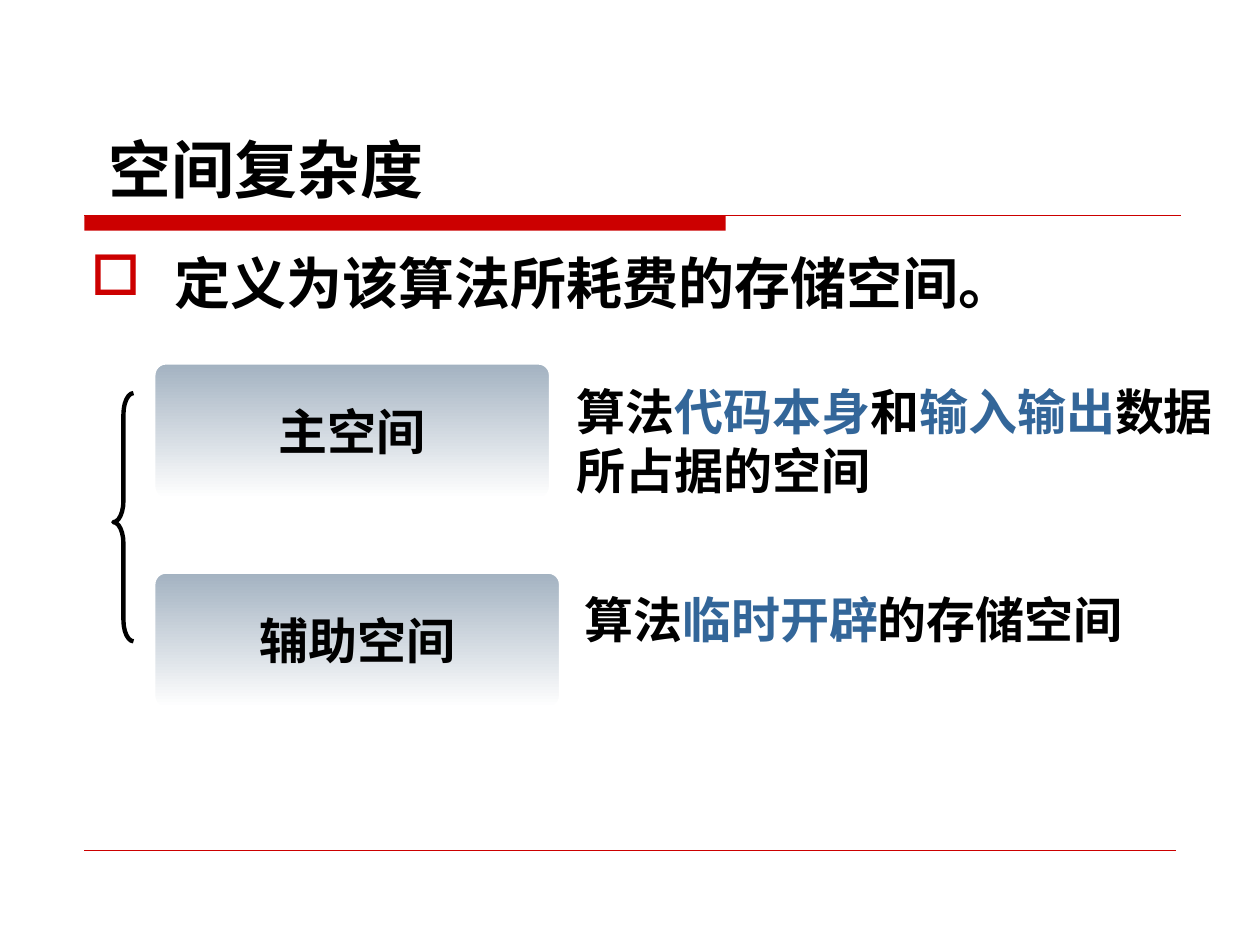
import pptx
import pptx.util
import pptx.dml.color
import pptx.enum.shapes
import pptx.enum.text
import lxml.etree
import pptx.oxml.ns

RGB = pptx.dml.color.RGBColor
RED = RGB(0xCC, 0x00, 0x00)
BLUE = RGB(0x33, 0x66, 0x99)
GREY = RGB(0xA3, 0xB2, 0xC1)
BLACK = RGB(0x00, 0x00, 0x00)
WHITE = RGB(0xFF, 0xFF, 0xFF)
FONT = "DejaVu Sans"
PX = 9144  # 100 px to the inch
qn = pptx.oxml.ns.qn
Pt = pptx.util.Pt
KIND = pptx.enum.shapes.MSO_SHAPE
ALIGN = pptx.enum.text.PP_ALIGN
ANCHOR = pptx.enum.text.MSO_ANCHOR
FIT = pptx.enum.text.MSO_AUTO_SIZE


def style(run, size, color=BLACK):
    """Bold text in one font for both Latin and East Asian letters."""
    font = run.font
    font.size, font.bold, font.name = Pt(size), True, FONT
    font.color.rgb = color
    east = lxml.etree.Element(qn("a:ea"), typeface=FONT)
    run._r.rPr.find(qn("a:latin")).addnext(east)


def rule(left, right, y, width):
    """A flat red line across the slide."""
    line = slide.shapes.add_connector(
        pptx.enum.shapes.MSO_CONNECTOR.STRAIGHT, left * PX, y * PX, right * PX, y * PX)
    line.line.color.rgb = RED
    line.line.width = Pt(width)
    lxml.etree.SubElement(line._element.spPr, qn("a:effectLst"))


deck = pptx.Presentation()
deck.slide_width, deck.slide_height = 1000 * PX, 750 * PX
slide = deck.slides.add_slide(deck.slide_layouts[5])
shapes = slide.shapes

# Red bar and rules
bar = shapes.add_shape(KIND.RECTANGLE, 67 * PX, 171 * PX, 509 * PX, 12 * PX)
bar.shadow.inherit = False
bar.fill.solid()
bar.fill.fore_color.rgb = RED
bar.line.fill.background()
rule(67, 937, 171, 0.75)
rule(67, 933, 675, 0.25)

# Title
title = shapes.title
title.left, title.top, title.width, title.height = 59 * PX, 36 * PX, 875 * PX, 133 * PX
frame = title.text_frame
frame.text = " 空间复杂度"
frame.auto_size = FIT.NONE
frame.vertical_anchor = ANCHOR.BOTTOM
frame.paragraphs[0].alignment = ALIGN.LEFT
style(frame.paragraphs[0].runs[0], 36)

# Definition with a square bullet
body = shapes.add_textbox(62 * PX, 192 * PX, 875 * PX, 467 * PX)
body.text_frame.word_wrap = True
para = body.text_frame.paragraphs[0]
para.text = " 定义为该算法所耗费的存储空间。"
props = para._p.get_or_add_pPr()
props.set("marL", str(51 * PX))
props.set("indent", str(-51 * PX))
tint = lxml.etree.SubElement(props, qn("a:buClr"))
lxml.etree.SubElement(tint, qn("a:srgbClr"), val=str(RED))
lxml.etree.SubElement(props, qn("a:buChar"), char="□")
style(para.runs[0], 32)

# The two kinds of space
for label, top, width in [("主空间", 288, 315), ("辅助空间", 454, 323)]:
    card = shapes.add_shape(KIND.ROUNDED_RECTANGLE, 122 * PX, top * PX, width * PX, 108 * PX)
    card.adjustments[0] = 0.09
    card.shadow.inherit = False
    card.fill.gradient()
    card.fill.gradient_angle = 270
    for stop, color in zip(card.fill.gradient_stops, [GREY, WHITE]):
        stop.color.rgb = color
    card.line.color.rgb = WHITE
    card.line.width = Pt(2)
    frame = card.text_frame
    frame.text = label
    frame.word_wrap = False
    frame.vertical_anchor = ANCHOR.MIDDLE
    frame.paragraphs[0].alignment = ALIGN.CENTER
    style(frame.paragraphs[0].runs[0], 28)

brace = shapes.add_shape(KIND.LEFT_BRACE, 90 * PX, 312 * PX, 16 * PX, 197 * PX)
brace.adjustments[0], brace.adjustments[1] = 1.06, 0.52
brace.shadow.inherit = False
brace.fill.background()
brace.line.color.rgb = BLACK
brace.line.width = Pt(2.5)

# What each one holds: every second part of a line is blue
notes = [
    ((448, 298, 525, 104), [["算法", "代码本身", "和", "输入输出", "数据"], ["所占据的空间"]]),
    ((454, 463, 447, 57), [["算法", "临时开辟", "的存储空间"]]),
]
for place, lines in notes:
    frame = shapes.add_textbox(*[n * PX for n in place]).text_frame
    frame.word_wrap = False
    frame.auto_size = FIT.SHAPE_TO_FIT_TEXT
    for row, parts in enumerate(lines):
        para = frame.add_paragraph() if row else frame.paragraphs[0]
        for spot, part in enumerate(parts):
            run = para.add_run()
            run.text = part
            style(run, 28, BLUE if spot % 2 else BLACK)

deck.save("out.pptx")
